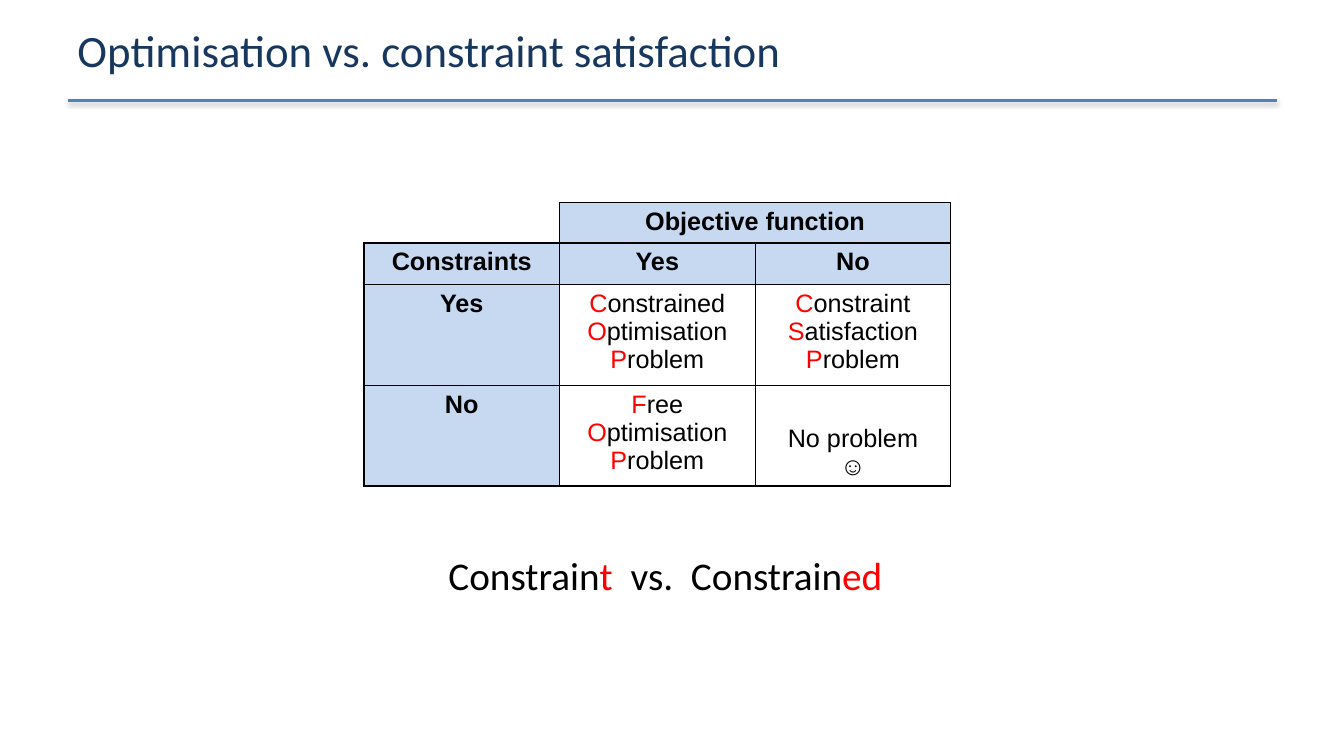
"""Build the slide comparing optimisation with constraint satisfaction."""
from lxml.etree import SubElement
from pptx import Presentation
from pptx.dml.color import RGBColor
from pptx.enum.shapes import MSO_CONNECTOR as CONN
from pptx.enum.text import MSO_ANCHOR as ANCHOR, PP_ALIGN as ALIGN
from pptx.oxml import parse_xml
from pptx.oxml.ns import nsdecls, qn
from pptx.util import Inches, Pt

TITLE = "Optimisation vs. constraint satisfaction"
FOOTER = "Constrain*t*  vs.  Constrain*ed*"
ROWS = [
    ["", "Objective function", ""],
    ["Constraints", "Yes", "No"],
    ["Yes", "*C*onstrained *O*ptimisation *P*roblem",
     "*C*onstraint *S*atisfaction *P*roblem"],
    ["No", "*F*ree *O*ptimisation *P*roblem", "No problem\n☺"],
]
ROW_HEIGHTS = [0.4, 0.41, 0.94, 0.94]
COL_WIDTH = 1.94
NAVY, BLUE, PALE = "17375E", "4F81BD", "C6D9F1"
RED, BLACK, WHITE = "FF0000", "000000", "FFFFFF"


def rgb(value):
    """Turn a hex string into a colour."""
    return RGBColor.from_string(value)


def write(tf, text, size=18, font="Arial", color=BLACK, bold=False,
          align=ALIGN.LEFT):
    """Write lines of text, with parts between asterisks in red."""
    for i, line in enumerate(text.split("\n")):
        p = tf.paragraphs[0] if i == 0 else tf.add_paragraph()
        p.alignment = align
        for j, part in enumerate(line.split("*")):
            if part:
                r = p.add_run()
                r.text = part
                r.font.size, r.font.name, r.font.bold = Pt(size), font, bold
                r.font.color.rgb = rgb(RED if j % 2 else color)


def add_text(s, box, text, wrap=True, anchor=ANCHOR.TOP, **fmt):
    """Add a text box."""
    tf = s.shapes.add_textbox(*map(Inches, box)).text_frame
    tf.word_wrap, tf.vertical_anchor = wrap, anchor
    write(tf, text, **fmt)


def set_borders(cell, **colors):
    """Draw the four sides of a cell, black unless a colour is given."""
    tc_pr = cell._tc.get_or_add_tcPr()
    for i, side in enumerate("LRTB"):
        ln = parse_xml(f'<a:ln{side} {nsdecls("a")} w="12700"/>')
        fill = SubElement(ln, qn("a:solidFill"))
        SubElement(fill, qn("a:srgbClr"), val=colors.get(side, BLACK))
        tc_pr.insert(i, ln)


def add_rule(s, left, right, top):
    """Add the line under the title with its soft shadow."""
    rule = s.shapes.add_connector(
        CONN.STRAIGHT, *map(Inches, (left, top, right, top)))
    rule.line.color.rgb, rule.line.width = rgb(BLUE), Pt(2)
    effects = SubElement(rule._element.spPr, qn("a:effectLst"))
    shadow = SubElement(effects, qn("a:outerShdw"), blurRad=str(Pt(3.1)),
                        dist=str(Pt(1.6)), dir="5400000", rotWithShape="0")
    color = SubElement(shadow, qn("a:srgbClr"), val=BLACK)
    SubElement(color, qn("a:alpha"), val="38000")


def add_matrix(s, left, top):
    """Add the table of problem types."""
    cols = len(ROWS[0])
    size = (cols * COL_WIDTH, sum(ROW_HEIGHTS))
    table = s.shapes.add_table(
        len(ROWS), cols, *map(Inches, (left, top, *size))).table
    for column in table.columns:
        column.width = Inches(COL_WIDTH)
    for i, row in enumerate(ROWS):
        table.rows[i].height = Inches(ROW_HEIGHTS[i])
        for j, text in enumerate(row):
            cell = table.cell(i, j)
            corner = i == j == 0
            header = (i < 2 or j == 0) and not corner
            if header:
                cell.fill.solid()
                cell.fill.fore_color.rgb = rgb(PALE)
            else:
                cell.fill.background()
            set_borders(cell, **({"L": WHITE, "T": WHITE} if corner else {}))
            write(cell.text_frame, text, bold=header, align=ALIGN.CENTER)
    table.cell(0, 1).merge(table.cell(0, cols - 1))
    table.cell(len(ROWS) - 1, cols - 1).vertical_anchor = ANCHOR.BOTTOM


prs = Presentation()
prs.slide_width, prs.slide_height = Inches(13.33), Inches(7.5)
s = prs.slides.add_slide(prs.slide_layouts[6])
add_rule(s, 0.67, 12.67, 1)
add_text(s, (0.67, 0.02, 12, 0.95), TITLE, anchor=ANCHOR.MIDDLE,
         size=32, font="Calibri", color=NAVY)
add_matrix(s, 3.61, 2.01)
add_text(s, (4.35, 5.42, 4.64, 0.57), FOOTER, wrap=False,
         size=28, font="Calibri")
prs.save("out.pptx")
